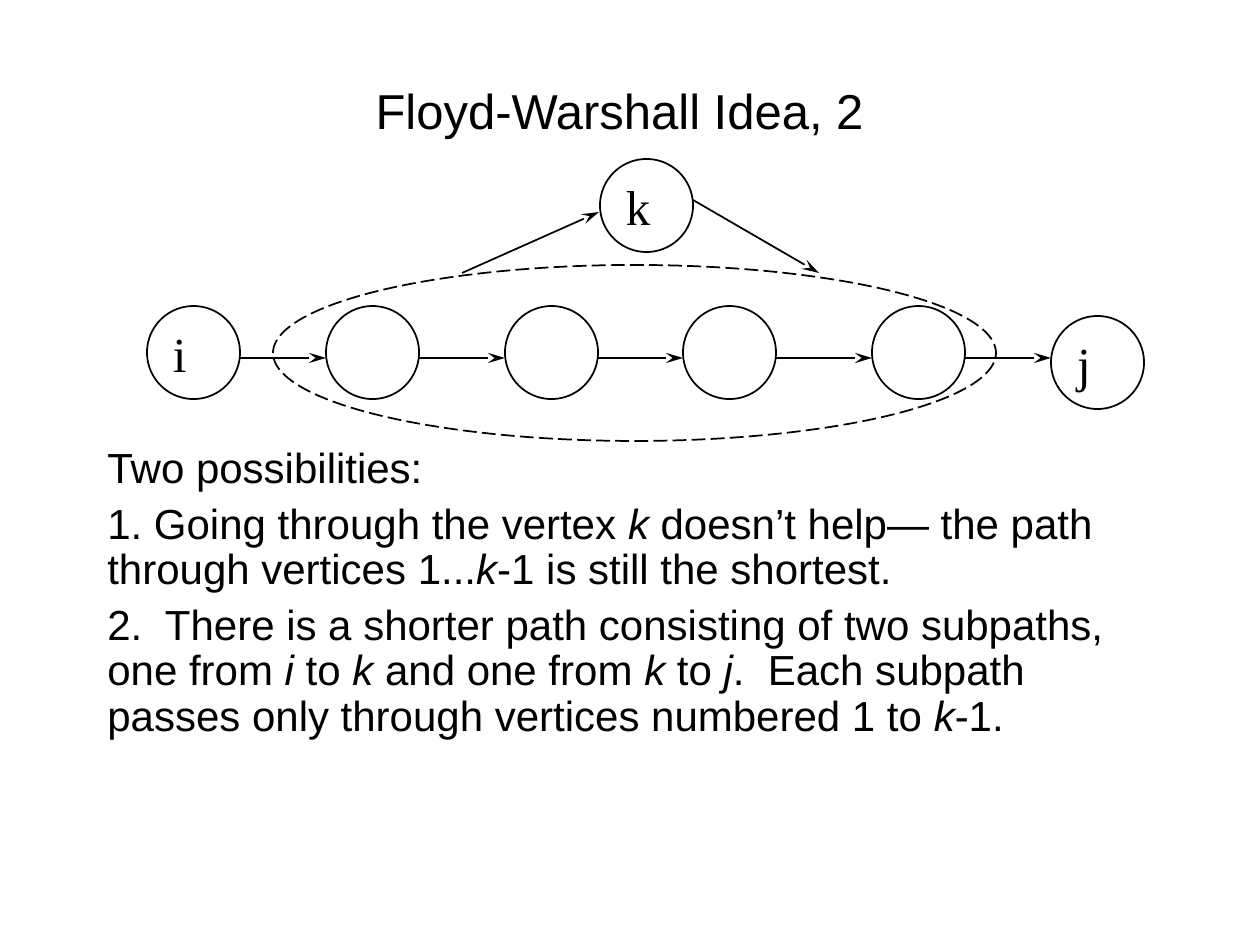
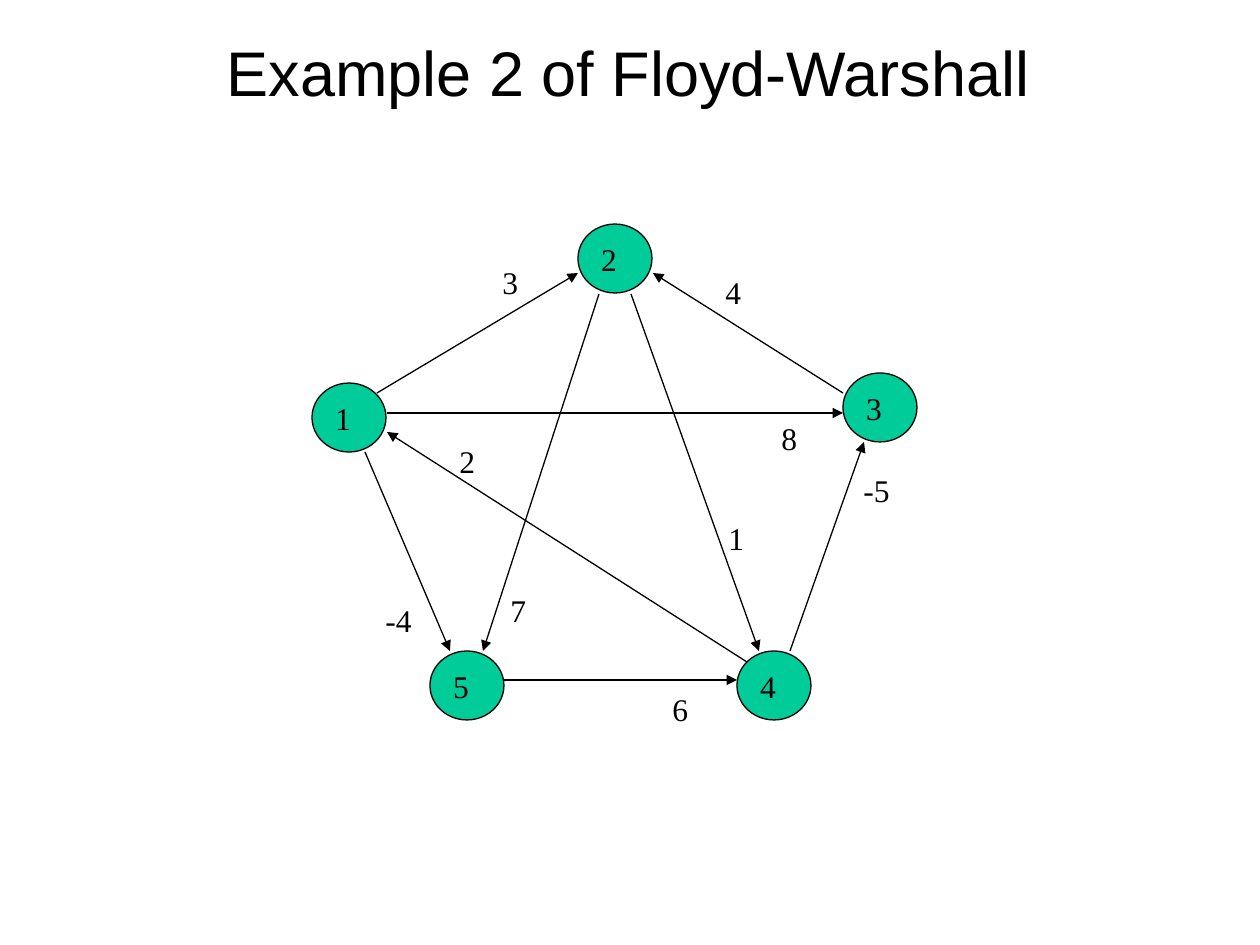
import pptx
import pptx.util
import pptx.dml.color
import pptx.enum.dml
import pptx.enum.shapes
import pptx.enum.text
import pptx.oxml.ns
from lxml import etree

PX = 914400 / 126
COLORS = {"ink": "000000", "paper": "FFFFFF", "vertex": "00CC99"}
SANS, SERIF = "Arial", "Times New Roman"
ALIGN = pptx.enum.text.PP_ALIGN
ANCHOR = pptx.enum.text.MSO_ANCHOR

# Slide 1: asterisks mark italics
IDEA_TITLE = "Floyd-Warshall Idea, 2"
IDEA_BODY = [
    "Two possibilities:",
    "1. Going through the vertex *k* doesn’t help— the path through vertices 1...*k*-1 is still the shortest.",
    "2.  There is a shorter path consisting of two subpaths, one from *i* to *k* and one from *k* to *j*."
    "  Each subpath passes only through vertices numbered 1 to *k*-1.",
]
CIRCLE = 93
ARROW_Y = 358
# left edge, top edge, label
PATH_ROW = [(147, 306, "i"), (326, 306, ""), (505, 306, ""), (683, 306, ""), (872, 306, ""),
            (1051, 316, "j")]
DETOUR_VERTEX = (600, 159, "k")
DETOUR = [((462, 273), (599, 212)), ((693, 200), (819, 273))]
INNER_SET = (273, 265, 723, 176)

# Slide 2
EXAMPLE_TITLE = "Example 2 of Floyd-Warshall"
VERTEX_SIZE = (74, 69)
VERTICES = {"1": (312, 383), "2": (578, 224), "3": (843, 373), "4": (737, 651), "5": (430, 651)}
# from, to, weight, place of the weight
EDGES = [
    ((377, 393), (578, 273), "3", (490, 257)),
    ((843, 393), (653, 273), "4", (713, 267)),
    ((790, 651), (864, 442), "-5", (851, 465)),
    ((504, 680), (737, 680), "6", (660, 684)),
    ((365, 452), (450, 651), "-4", (373, 595)),
    ((599, 294), (483, 651), "7", (498, 585)),
    ((631, 294), (759, 651), "1", (716, 513)),
    ((747, 662), (387, 432), "2", (447, 436)),
    ((387, 413), (843, 413), "8", (769, 413)),
]


def emu(*lengths):
    return [round(length * PX) for length in lengths]


def color(name):
    return pptx.dml.color.RGBColor.from_string(COLORS[name])


def write(box, text, size, font=SERIF, align=ALIGN.LEFT, anchor=ANCHOR.TOP, wrap=False,
          spacing=None, before=0):
    frame = box.text_frame
    frame.word_wrap, frame.vertical_anchor = wrap, anchor
    for index, line in enumerate([text] if isinstance(text, str) else text):
        para = frame.add_paragraph() if index else frame.paragraphs[0]
        para.alignment = align
        if spacing:
            para.line_spacing = spacing
        if index:
            para.space_before = pptx.util.Pt(before)
        for number, piece in enumerate(line.split("*")):
            span = para.add_run()
            span.text = piece
            span.font.name, span.font.size = font, pptx.util.Pt(size)
            span.font.italic = number % 2 == 1
            span.font.color.rgb = color("ink")


def add_text(page, place, text, size, **style):
    box = page.shapes.add_textbox(*emu(*place))
    write(box, text, size, **style)
    return box


def add_title(page, place, text, size):
    return add_text(page, place, text, size, font=SANS, align=ALIGN.CENTER,
                    anchor=ANCHOR.MIDDLE, wrap=True)


def add_ellipse(page, place, weight, fill=None, text="", size=18):
    oval = page.shapes.add_shape(pptx.enum.shapes.MSO_SHAPE.OVAL, *emu(*place))
    oval.shadow.inherit = False
    oval.line.color.rgb = color("ink")
    oval.line.width = pptx.util.Pt(weight)
    if fill:
        oval.fill.solid()
        oval.fill.fore_color.rgb = color(fill)
    else:
        oval.fill.background()
    if text:
        write(oval, text, size, anchor=ANCHOR.MIDDLE)
    return oval


def add_arrow(page, start, end, weight, head, length="med"):
    arrow = page.shapes.add_connector(pptx.enum.shapes.MSO_CONNECTOR.STRAIGHT, *emu(*start, *end))
    arrow.line.color.rgb = color("ink")
    arrow.line.width = pptx.util.Pt(weight)
    qn = pptx.oxml.ns.qn
    etree.SubElement(arrow.line._get_or_add_ln(), qn("a:tailEnd"), type=head, w="med", len=length)
    etree.SubElement(arrow._element.spPr, qn("a:effectLst"))


def build_idea(page):
    add_title(page, (84, 31, 1071, 158), IDEA_TITLE, 28)
    add_text(page, (95, 441, 1071, 441), IDEA_BODY, 24, font=SANS, wrap=True, spacing=0.9, before=6)

    # Vertices first, so that every arrowhead stays in view
    for left, top, label in [*PATH_ROW, DETOUR_VERTEX]:
        add_ellipse(page, (left, top, CIRCLE, CIRCLE), 1, "paper", label, 28)

    # Arrows from the edge of one circle to the edge of the next, then the detour through k
    steps = [((here[0] + CIRCLE, ARROW_Y), (following[0], ARROW_Y))
             for here, following in zip(PATH_ROW, PATH_ROW[1:])]
    for start, end in steps + DETOUR:
        add_arrow(page, start, end, 1, "stealth", "lg")

    # Set of inner vertices
    inner = add_ellipse(page, INNER_SET, 1)
    inner.line.dash_style = pptx.enum.dml.MSO_LINE.LONG_DASH


def build_example(page):
    title = add_title(page, (42, 42, 1160, 59), EXAMPLE_TITLE, 36)
    title.text_frame.margin_left = emu(25)[0]
    for label, corner in VERTICES.items():
        add_ellipse(page, (*corner, *VERTEX_SIZE), 0.75, "vertex", label)
    for start, end, weight, corner in EDGES:
        add_arrow(page, start, end, 0.75, "triangle")
        add_text(page, (*corner, 30 + 11 * len(weight), 50), weight, 18)


def main():
    deck = pptx.Presentation()
    deck.slide_width, deck.slide_height = emu(1260, 945)
    for build in (build_idea, build_example):
        build(deck.slides.add_slide(deck.slide_layouts[6]))
    deck.save("out.pptx")


if __name__ == "__main__":
    main()
